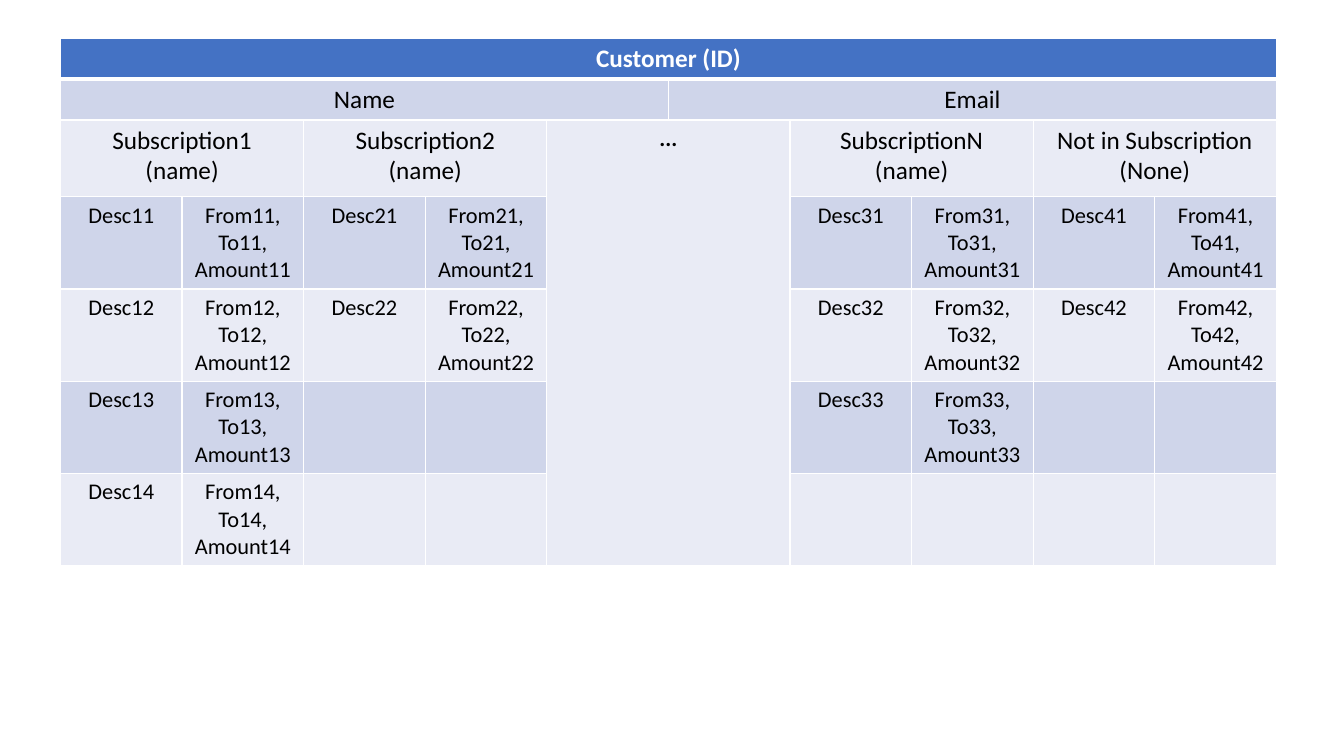
from dataclasses import dataclass

from lxml.etree import SubElement
from pptx import Presentation
from pptx.dml.color import RGBColor as RGB
from pptx.enum.text import PP_ALIGN as Align
from pptx.oxml import parse_xml
from pptx.oxml.ns import nsdecls, qn
from pptx.util import Inches, Pt

# Content: (row, column, rows spanned, columns spanned, lines)
HEADINGS = [
    (0, 0, 1, 10, ["Customer (ID)"]),
    (1, 0, 1, 5, ["Name"]),
    (1, 5, 1, 5, ["Email"]),
    (2, 0, 1, 2, ["Subscription1", "(name)"]),
    (2, 2, 1, 2, ["Subscription2", "(name)"]),
    (2, 6, 1, 2, ["SubscriptionN", "(name)"]),
    (2, 8, 1, 2, ["Not in Subscription", "(None)"]),
]
ELLIPSIS = (2, 4, 5, 2, ["..."])
# Entries of each subscription: (group number, first column, entry count)
GROUPS = [(1, 0, 4), (2, 2, 2), (3, 6, 3), (4, 8, 2)]
FIRST_ENTRY_ROW = 3
ROW_HEIGHTS = [0.38, 0.38] + [0.76] * 5
COLUMN_COUNT = 10
LEFT, TOP, WIDTH, HEIGHT = 0.6, 0.38, 12.06, 5.16


@dataclass(frozen=True)
class Theme:
    font: str = "Calibri"
    header: str = "4472C4"
    bands: tuple = ("E9EBF5", "CFD5EA")
    text: str = "000000"
    white: str = "FFFFFF"
    heading_size: int = 18
    entry_size: int = 16
    thin: int = 1
    thick: int = 3


THEME = Theme()


def set_border(cell, side, points):
    props = cell._tc.get_or_add_tcPr()
    line = parse_xml(f'<a:{side} {nsdecls("a")} w="{Pt(points)}"/>')
    fill = SubElement(line, qn("a:solidFill"))
    SubElement(fill, qn("a:srgbClr"), val=THEME.white)
    props.append(line)


def style_cell(cell, row):
    """Give a cell its borders, then its banded fill."""
    for side in ("lnL", "lnR", "lnT", "lnB"):
        under_header = (row, side) in ((0, "lnB"), (1, "lnT"))
        set_border(cell, side, THEME.thick if under_header else THEME.thin)
    color = THEME.bands[row % 2] if row else THEME.header
    cell.fill.solid()
    cell.fill.fore_color.rgb = RGB.from_string(color)


def write(cell, lines, size, color=THEME.text, bold=False):
    cell.text = "\n".join(lines)
    for para in cell.text_frame.paragraphs:
        para.alignment = Align.CENTER
        font = para.font
        font.name, font.size, font.bold = THEME.font, Pt(size), bold
        font.color.rgb = RGB.from_string(color)


def write_span(table, block, size, **look):
    row, column, rows, columns, lines = block
    cell = table.cell(row, column)
    cell.merge(table.cell(row + rows - 1, column + columns - 1))
    write(cell, lines, size, **look)


def main():
    deck = Presentation()
    deck.slide_width, deck.slide_height = Inches(13.33), Inches(7.5)
    page = deck.slides.add_slide(deck.slide_layouts[6])

    # Table grid
    frame = page.shapes.add_table(
        len(ROW_HEIGHTS), COLUMN_COUNT,
        Inches(LEFT), Inches(TOP), Inches(WIDTH), Inches(HEIGHT))
    table = frame.table
    for row, height in enumerate(ROW_HEIGHTS):
        table.rows[row].height = Inches(height)
        for cell in table.rows[row].cells:
            style_cell(cell, row)
    frame.height = Inches(HEIGHT)

    # Headings
    for block in HEADINGS:
        is_header = block[0] == 0
        write_span(table, block, THEME.heading_size, bold=is_header,
                   color=THEME.white if is_header else THEME.text)
    write_span(table, ELLIPSIS, THEME.entry_size, bold=True)

    # Subscription entries
    for group, column, count in GROUPS:
        for entry in range(count):
            row = FIRST_ENTRY_ROW + entry
            number = f"{group}{entry + 1}"
            details = f"From{number}, To{number}, Amount{number}"
            write(table.cell(row, column), [f"Desc{number}"], THEME.entry_size)
            write(table.cell(row, column + 1), [details], THEME.entry_size)

    deck.save("out.pptx")


if __name__ == "__main__":
    main()
